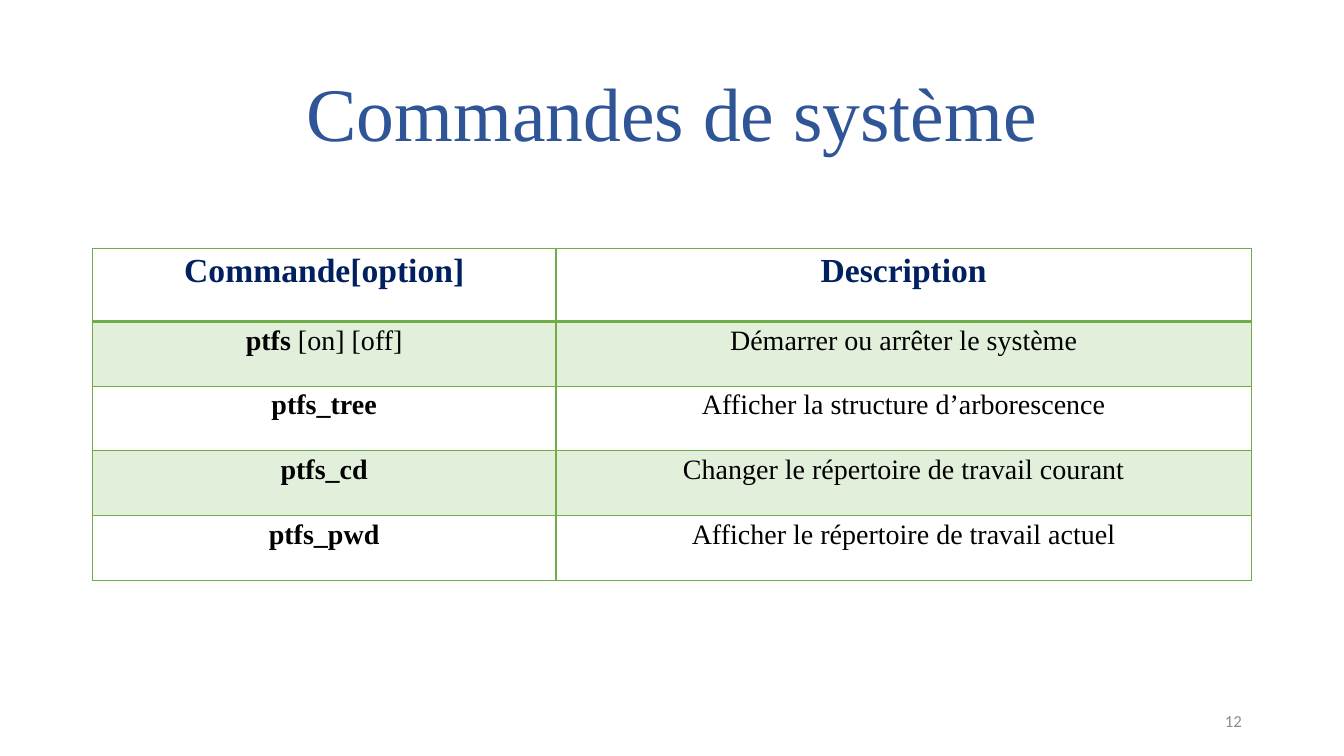
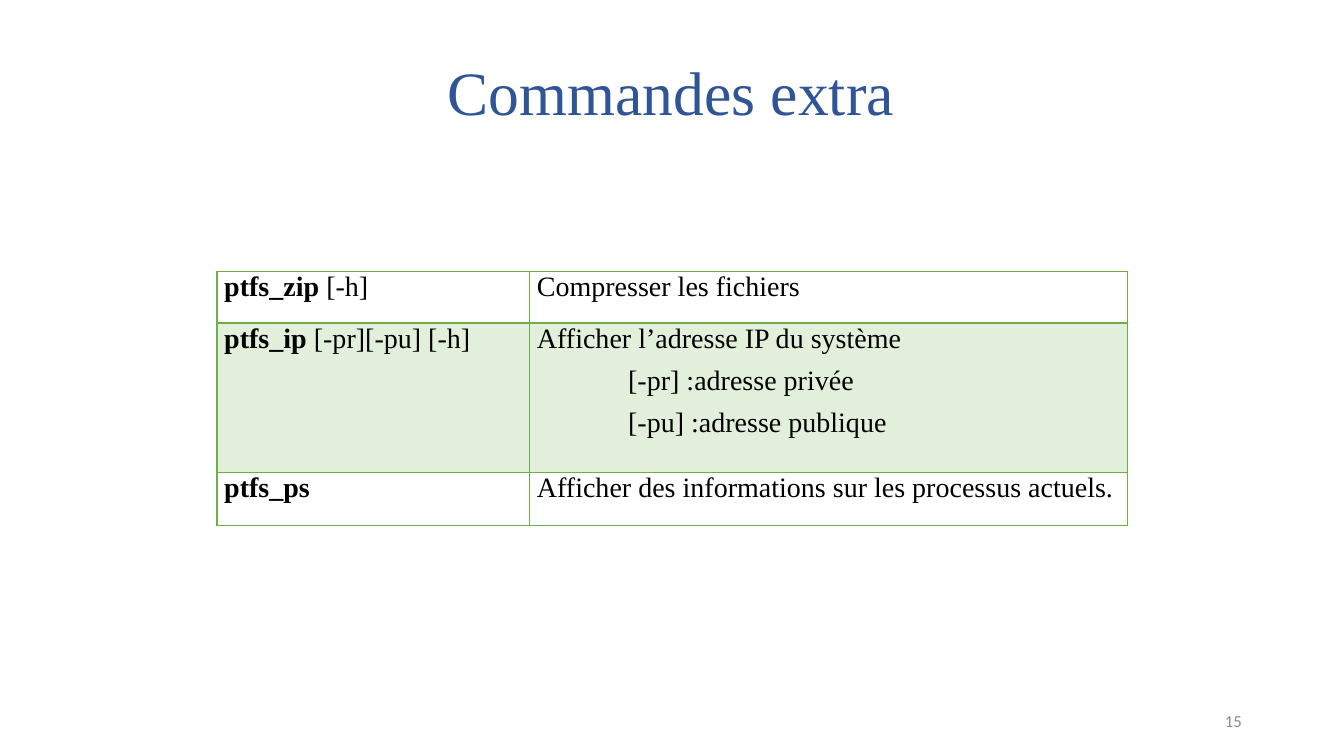
from lxml.etree import SubElement
from pptx import Presentation
from pptx.dml.color import RGBColor
from pptx.enum.text import MSO_ANCHOR, PP_ALIGN
from pptx.oxml.ns import qn
from pptx.util import Cm, Pt

COLORS = {
    "title": "2F5597",
    "header": "002060",
    "body": "000000",
    "number": "8C8C8C",
    "border": "70AD47",
    "band": "E2EFDA",
}
SERIF = "Times New Roman"
SANS = "Calibri"
OPTION_INDENT = Cm(2.3)


def add_run(paragraph, text, size, color, font=SERIF, bold=False):
    run = paragraph.add_run()
    run.text = text
    run.font.name = font
    run.font.size = Pt(size)
    run.font.bold = bold
    run.font.color.rgb = RGBColor.from_string(COLORS[color])


def add_line(slide, box, text, size, color, align, font=SERIF, spacing=1.0):
    frame = slide.shapes.add_textbox(*map(Cm, box)).text_frame
    frame.word_wrap = True
    frame.vertical_anchor = MSO_ANCHOR.MIDDLE
    paragraph = frame.paragraphs[0]
    paragraph.alignment = align
    paragraph.line_spacing = spacing
    add_run(paragraph, text, size, color, font)


def add_title(slide, box, text, size):
    add_line(slide, box, text, size, "title", PP_ALIGN.CENTER, spacing=0.9)


def add_number(slide, box, number):
    add_line(slide, box, number, 12, "number", PP_ALIGN.RIGHT, SANS)


def set_borders(cell, widths):
    properties = cell._tc.get_or_add_tcPr()
    for side, width in widths.items():
        line = SubElement(properties, qn(f"a:ln{side}"), w=str(Pt(width)))
        fill = SubElement(line, qn("a:solidFill"))
        SubElement(fill, qn("a:srgbClr"), val=COLORS["border"])


def fill_cell(cell, paragraphs, style, size, color):
    cell.margin_left = cell.margin_right = Cm(style["side"])
    cell.margin_top, cell.margin_bottom = Cm(style["top"]), 0
    frame = cell.text_frame
    for index, (indent, runs) in enumerate(paragraphs):
        paragraph = frame.add_paragraph() if index else frame.paragraphs[0]
        paragraph.alignment = style["align"]
        paragraph.line_spacing = style["spacing"]
        paragraph.space_after = Pt(8)
        paragraph._p.get_or_add_pPr().set("marL", str(indent))
        for text, bold in runs:
            add_run(paragraph, text, size, color, bold=bold)


def add_command_table(slide, left, top, widths, heights, rows, style):
    table = slide.shapes.add_table(
        len(heights), len(widths), Cm(left), Cm(top), Cm(sum(widths)), Cm(sum(heights))
    ).table
    table.first_row = style["header"]
    table.horz_banding = False
    for column, width in zip(table.columns, widths):
        column.width = Cm(width)
    for r, (height, contents) in enumerate(zip(heights, rows)):
        table.rows[r].height = Cm(height)
        is_header = style["header"] and r == 0
        size, color = (24, "header") if is_header else (20, "body")
        for c, paragraphs in enumerate(contents):
            cell = table.cell(r, c)
            set_borders(cell, {"L": 1, "R": 1, "T": 2 if r == 1 else 1, "B": 2 if r == 0 else 1})
            if r % 2:
                cell.fill.solid()
                cell.fill.fore_color.rgb = RGBColor.from_string(COLORS["band"])
            else:
                cell.fill.background()
            fill_cell(cell, paragraphs, style, size, color)


def command_row(command, options, *descriptions):
    name = [(command, True)] + ([(options, False)] if options else [])
    details = [
        (OPTION_INDENT if index else 0, [(text, False)])
        for index, text in enumerate(descriptions)
    ]
    return [[(0, name)], details]


def add_command_slide(deck, title, title_box, title_size, number, **table):
    slide = deck.slides.add_slide(deck.slide_layouts[6])
    add_command_table(slide, **table)
    add_title(slide, title_box, title, title_size)
    add_number(slide, (23.93, 17.65, 7.62, 1.02), number)


def main():
    deck = Presentation()
    deck.slide_width, deck.slide_height = Cm(33.87), Cm(19.05)

    add_command_slide(
        deck, "Commandes de système", (2.33, 1.47, 29.21, 2.95), 54, "12",
        left=2.33, top=6.27, widths=[11.68, 17.53], heights=[1.83] + [1.63] * 4,
        rows=[
            [[(0, [("Commande[option]", True)])], [(0, [("Description", True)])]],
            command_row("ptfs", " [on] [off]", "Démarrer ou arrêter le système"),
            command_row("ptfs_tree", "", "Afficher la structure d’arborescence"),
            command_row("ptfs_cd", "", "Changer le répertoire de travail courant"),
            command_row("ptfs_pwd", "", "Afficher le répertoire de travail actuel"),
        ],
        style={"header": True, "side": 0.4, "top": 0.05,
               "align": PP_ALIGN.CENTER, "spacing": 1.06},
    )
    add_command_slide(
        deck, "Commandes extra", (2.31, 0.94, 29.21, 2.95), 44, "15",
        left=5.47, top=6.84, widths=[7.88, 15.06], heights=[1.3, 3.76, 1.35],
        rows=[
            command_row("ptfs_zip ", "[-h]", "Compresser les fichiers"),
            command_row("ptfs_ip ", "[-pr][-pu] [-h]", "Afficher l’adresse IP du système",
                        "[-pr] :adresse privée", "[-pu] :adresse publique"),
            command_row("ptfs_ps", "", "Afficher des informations sur les processus actuels."),
        ],
        style={"header": False, "side": 0.18, "top": 0,
               "align": PP_ALIGN.LEFT, "spacing": 1.0},
    )
    deck.save("out.pptx")


if __name__ == "__main__":
    main()
